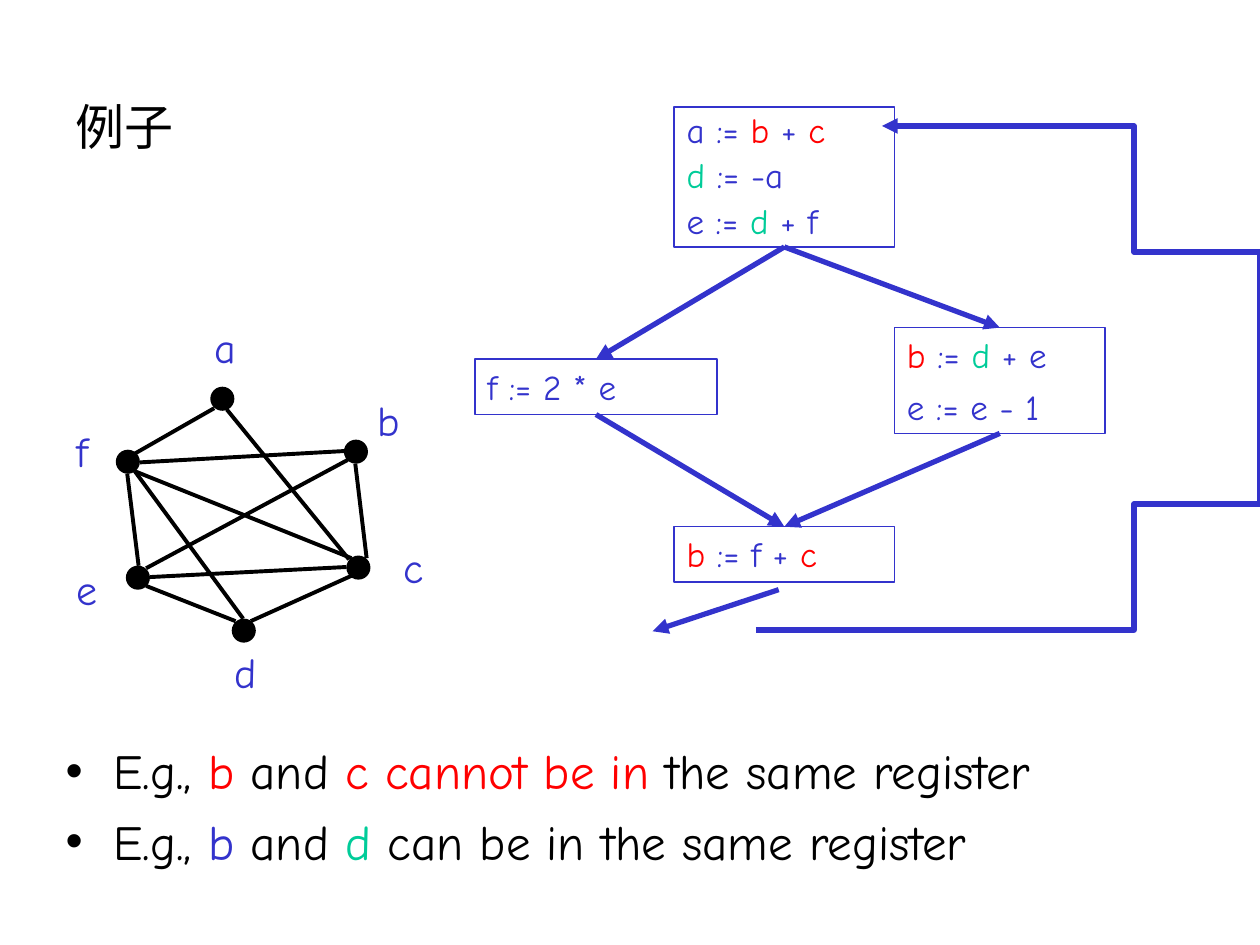
from dataclasses import dataclass

from lxml.etree import SubElement
from pptx import Presentation
from pptx.dml.color import RGBColor
from pptx.enum.shapes import MSO_CONNECTOR, MSO_SHAPE
from pptx.enum.text import MSO_ANCHOR, MSO_AUTO_SIZE, PP_ALIGN
from pptx.oxml.ns import qn
from pptx.slide import Slide
from pptx.util import Inches, Pt

BLACK, BLUE, RED, GREEN = "000000", "3333CC", "FF0000", "00CC99"
TOP, BOTTOM = 0, 2


def color(value):
    return RGBColor.from_string(value)


def add_span(para, text, *, font="Comic Neue", size=20, fill=BLUE):
    span = para.add_run()
    span.text = text
    span.font.name = font
    span.font.size = Pt(size)
    span.font.color.rgb = color(fill)


def bezier(start, first, second, end, steps=24):
    """Points along a cubic curve, without its start."""
    for step in range(1, steps + 1):
        t = step / steps
        weights = (1 - t) ** 3, 3 * t * (1 - t) ** 2, 3 * t * t * (1 - t), t ** 3
        yield tuple(
            sum(weight * point[axis] for weight, point
                in zip(weights, (start, first, second, end)))
            for axis in (0, 1)
        )


@dataclass
class Sketch:
    page: Slide
    font: str = "Comic Neue"
    code_size: int = 20
    label_size: int = 24
    heading_size: int = 28

    def add_text(self, para, spans, size):
        for text, fill in spans:
            add_span(para, text, font=self.font, size=size, fill=fill)

    def place(self, shape, left, top, width, height):
        shape.left, shape.top = Inches(left), Inches(top)
        shape.width, shape.height = Inches(width), Inches(height)
        shape.text_frame.auto_size = MSO_AUTO_SIZE.NONE
        return shape.text_frame

    def title(self, text, *area):
        frame = self.place(self.page.shapes.title, *area)
        frame.vertical_anchor = MSO_ANCHOR.MIDDLE
        para = frame.paragraphs[0]
        para.alignment = PP_ALIGN.LEFT
        self.add_text(para, [(text, BLACK)], self.heading_size)

    def bullets(self, items, *area):
        frame = self.place(self.page.placeholders[1], *area)
        for index, spans in enumerate(items):
            para = frame.add_paragraph() if index else frame.paragraphs[0]
            para.space_before = Pt(6.7)
            properties = para._p.get_or_add_pPr()
            properties.set("marL", str(Inches(0.38)))
            properties.set("indent", str(-Inches(0.38)))
            SubElement(properties, qn("a:buChar"), char="•")
            self.add_text(para, spans, self.heading_size)

    def label(self, text, left, top):
        box = self.page.shapes.add_textbox(
            Inches(left), Inches(top), Inches(0.38), Inches(0.5))
        box.text_frame.word_wrap = False
        box.text_frame.auto_size = MSO_AUTO_SIZE.SHAPE_TO_FIT_TEXT
        self.add_text(box.text_frame.paragraphs[0], [(text, BLUE)], self.label_size)

    def shape(self, kind, left, top, width, height):
        shape = self.page.shapes.add_shape(
            kind, Inches(left), Inches(top), Inches(width), Inches(height))
        shape.shadow.inherit = False
        return shape

    def node(self, left, top):
        dot = self.shape(MSO_SHAPE.OVAL, left, top, 0.17, 0.17)
        dot.fill.solid()
        dot.fill.fore_color.rgb = color(BLACK)
        self.stroke(dot, BLACK, 1.5)

    def block(self, area, lines):
        """A box of code; each line is (line spacing, spans)."""
        box = self.shape(MSO_SHAPE.RECTANGLE, *area)
        box.fill.background()
        self.stroke(box, BLUE, 0.75)
        frame = box.text_frame
        frame.word_wrap = True
        frame.vertical_anchor = MSO_ANCHOR.TOP
        for index, (spacing, spans) in enumerate(lines):
            para = frame.add_paragraph() if index else frame.paragraphs[0]
            para.alignment = PP_ALIGN.LEFT
            para.line_spacing = spacing
            para.space_before = Pt(12)
            self.add_text(para, spans, self.code_size)
        return box

    def stroke(self, shape, fill, width, arrow=False):
        shape.line.color.rgb = color(fill)
        shape.line.width = Pt(width)
        if arrow:
            outline = shape._element.spPr.find(qn("a:ln"))
            SubElement(outline, qn("a:tailEnd"), type="triangle")

    def line(self, start, end, fill=BLACK, width=2.25, arrow=False):
        line = self.page.shapes.add_connector(
            MSO_CONNECTOR.STRAIGHT, *(Inches(value) for value in (*start, *end)))
        self.stroke(line, fill, width, arrow)
        SubElement(line._element.spPr, qn("a:effectLst"))
        return line

    def flow(self, source, target):
        line = self.line((0, 0), (1, 1), BLUE, 3, arrow=True)
        line.begin_connect(source, BOTTOM)
        line.end_connect(target, TOP)

    def curve(self, start, segments):
        points, here = [], start
        for first, second, end in segments:
            points.extend(bezier(here, first, second, end))
            here = end
        builder = self.page.shapes.build_freeform(*start, scale=Inches(1))
        builder.add_line_segments(points, close=False)
        outline = builder.convert_to_shape()
        outline.shadow.inherit = False
        outline.fill.background()
        self.stroke(outline, BLUE, 3, arrow=True)


def main():
    deck = Presentation()
    deck.slide_width, deck.slide_height = Inches(10), Inches(7.5)
    sketch = Sketch(deck.slides.add_slide(deck.slide_layouts[1]))

    # Title and conclusions
    sketch.title("例子", 0.5, 0.5, 8.83, 1)
    sketch.bullets([
        [("E.g., ", BLACK), ("b", RED), (" and ", BLACK),
         ("c cannot be in", RED), (" the same register", BLACK)],
        [("E.g., ", BLACK), ("b", BLUE), (" and ", BLACK),
         ("d", GREEN), (" can be in the same register", BLACK)],
    ], 0.42, 5.83, 9.08, 1.08)

    # Interference graph: label and dot of each variable, then edges
    variables = {
        "a": ((1.6, 2.5), (1.68, 3.08)), "f": ((0.51, 3.33), (0.93, 3.58)),
        "e": ((0.51, 4.42), (1.01, 4.5)), "d": ((1.76, 5.08), (1.85, 4.92)),
        "c": ((3.1, 4.25), (2.76, 4.42)), "b": ((2.9, 3.08), (2.74, 3.5)),
    }
    for name, (label_at, dot_at) in variables.items():
        sketch.label(name, *label_at)
        sketch.node(*dot_at)
    edges = [
        ((2.79, 4.57), (1.99, 4.93)), ((1.8, 3.25), (2.77, 4.44)),
        ((2.82, 3.68), (2.91, 4.43)), ((2.73, 3.58), (1.11, 3.67)),
        ((2.76, 3.65), (1.16, 4.51)), ((2.75, 4.5), (1.19, 4.58)),
        ((1.7, 3.24), (1.07, 3.6)), ((1.87, 4.93), (1.16, 4.65)),
        ((1.1, 4.49), (1.01, 3.76)), ((2.79, 4.43), (1.07, 3.74)),
        ((1.93, 4.91), (1.07, 3.74)),
    ]
    for start, end in edges:
        sketch.line(start, end)

    # Basic blocks
    entry = sketch.block((5.35, 0.85, 1.75, 1.11), [
        (0.9, [("a := ", BLUE), ("b", RED), (" + ", BLUE), ("c", RED)]),
        (0.5, [("d", GREEN), (" := -a", BLUE)]),
        (0.6, [("e := ", BLUE), ("d", GREEN), (" + f", BLUE)]),
    ])
    left = sketch.block((3.77, 2.85, 1.92, 0.44), [(1.0, [("f := 2 * e", BLUE)])])
    right = sketch.block((7.1, 2.6, 1.67, 0.84), [
        (1.0, [("b", RED), (" := ", BLUE), ("d", GREEN), (" + e", BLUE)]),
        (0.7, [("e := e - 1", BLUE)]),
    ])
    join = sketch.block((5.35, 4.18, 1.75, 0.44), [
        (1.0, [("b", RED), (" := f + ", BLUE), ("c", RED)]),
    ])

    # Control flow, loop back and exit
    for branch in (left, right):
        sketch.flow(entry, branch)
        sketch.flow(branch, join)
    sketch.curve((6.44, 4.65), [
        ((6.7, 4.73), (7.46, 5.12), (7.96, 5.1)),
        ((8.47, 5.07), (9.17, 4.91), (9.46, 4.47)),
        ((9.76, 4.03), (9.86, 2.94), (9.72, 2.44)),
        ((9.57, 1.94), (9.03, 1.66), (8.59, 1.46)),
        ((8.16, 1.26), (7.41, 1.28), (7.1, 1.23)),
    ])
    sketch.line((6.18, 4.68), (5.18, 5.01), BLUE, 3, arrow=True)

    deck.save("out.pptx")


if __name__ == "__main__":
    main()
